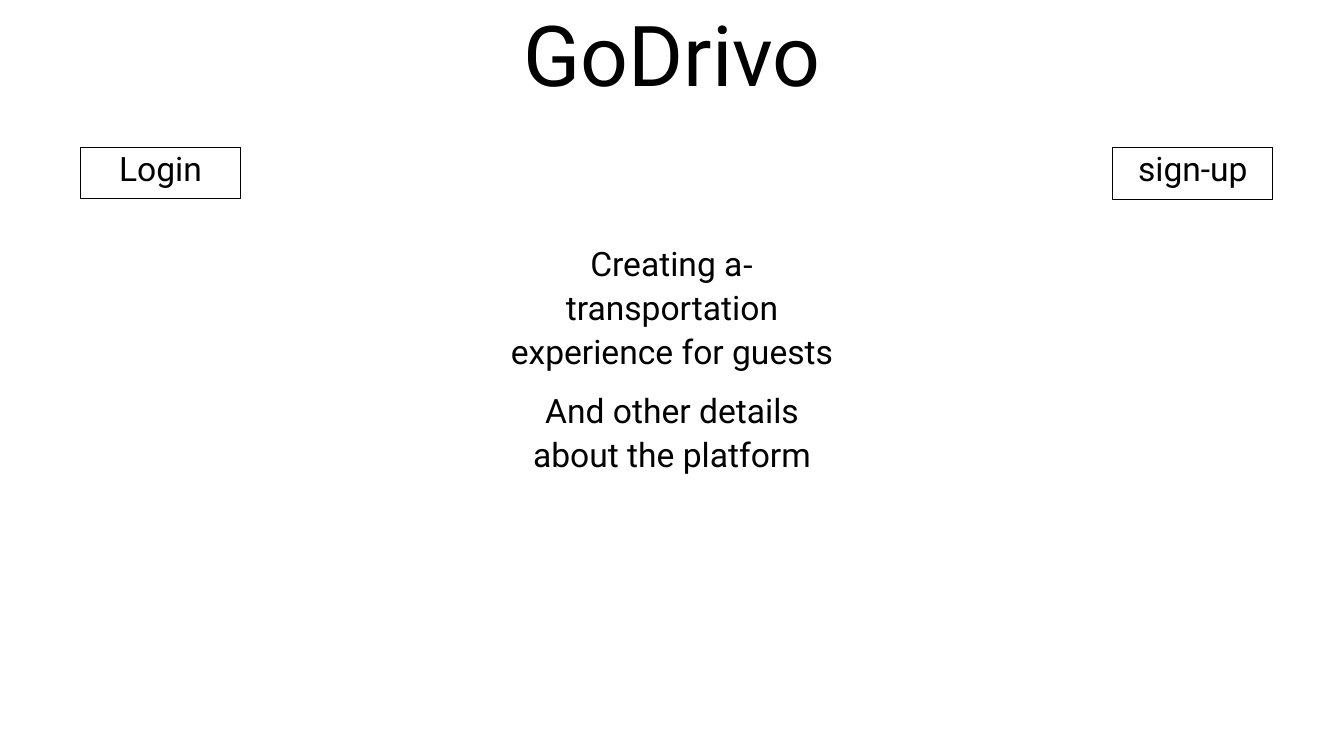
from dataclasses import dataclass

from pptx import Presentation
from pptx import util as u
from pptx.dml.color import RGBColor
from pptx.enum import shapes, text

WIDE, HIGH = 13.33, 7.5
FONT = "Roboto"
HUES = {"ink": "000000", "page": "FFFFFF"}


@dataclass(frozen=True)
class Area:
    left: float
    top: float
    width: float
    height: float

    def box(self) -> tuple:
        return (u.Inches(self.left * WIDE), u.Inches(self.top * HIGH),
                u.Inches(self.width * WIDE), u.Inches(self.height * HIGH))


@dataclass(frozen=True)
class Button:
    label: str
    area: Area


TITLE = Area(0.125, 0.008, 0.75, 0.137)
PITCH = Area(0.365, 0.309, 0.27, 0.331)
BUTTONS = [
    Button("Login", Area(0.06, 0.195, 0.119, 0.068)),
    Button("sign-up", Area(0.828, 0.195, 0.119, 0.069)),
]
LINES = ["-Creating a transportation experience for guests",
         "And other details about the platform"]


def hue(name: str) -> RGBColor:
    return RGBColor.from_string(HUES[name])


def write(shape, *lines: str, size: float = 24, lead: float = 0.9,
          gap: float = 10, anchor=text.MSO_ANCHOR.TOP) -> None:
    frame = shape.text_frame
    frame.word_wrap = True
    frame.auto_size = text.MSO_AUTO_SIZE.NONE
    frame.vertical_anchor = anchor
    for spot, line in enumerate(lines):
        para = frame.add_paragraph() if spot else frame.paragraphs[0]
        para.text = line
        para.alignment = text.PP_ALIGN.CENTER
        para.line_spacing = lead
        para.space_before = u.Pt(gap if spot else 0)
        para._p.get_or_add_pPr().set("rtl", "1")
        font = para.runs[0].font
        font.size, font.name = u.Pt(size), FONT
        font.color.rgb = hue("ink")


def press(slide, button: Button) -> None:
    shape = slide.shapes.add_shape(shapes.MSO_SHAPE.RECTANGLE, *button.area.box())
    shape.shadow.inherit = False
    shape.fill.background()
    shape.line.color.rgb = hue("ink")
    shape.line.width = u.Pt(0.75)
    write(shape, button.label)


def main() -> None:
    deck = Presentation()
    deck.slide_width, deck.slide_height = u.Inches(WIDE), u.Inches(HIGH)
    slide = deck.slides.add_slide(deck.slide_layouts[5])
    slide.background.fill.solid()
    slide.background.fill.fore_color.rgb = hue("page")

    title = slide.shapes.title
    title.left, title.top, title.width, title.height = TITLE.box()
    write(title, "GoDrivo", size=60, anchor=text.MSO_ANCHOR.BOTTOM)
    for button in BUTTONS:
        press(slide, button)
    write(slide.shapes.add_textbox(*PITCH.box()), *LINES, lead=1.1)
    deck.save("out.pptx")


if __name__ == "__main__":
    main()
